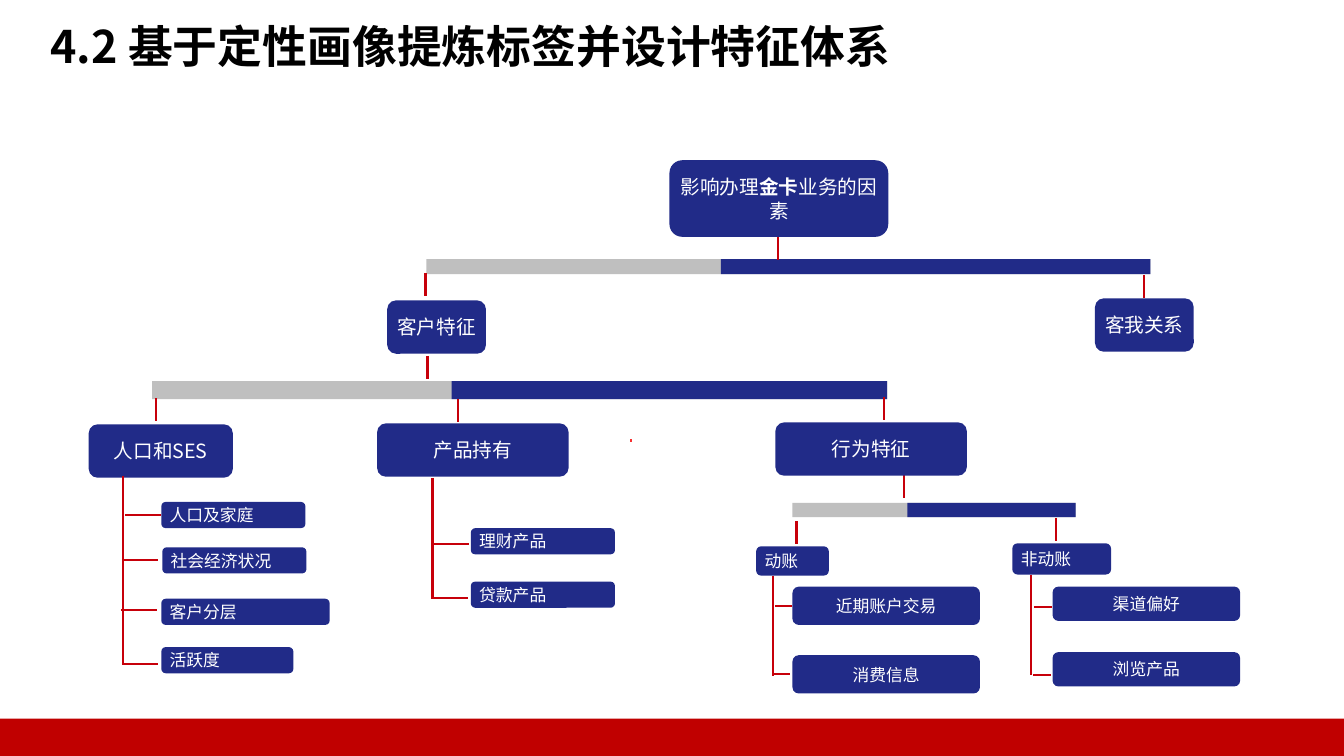
from lxml.etree import SubElement
from pptx import Presentation
from pptx.dml.color import RGBColor
from pptx.enum.shapes import MSO_CONNECTOR, MSO_SHAPE
from pptx.enum.text import MSO_ANCHOR, PP_ALIGN
from pptx.oxml.ns import qn
from pptx.util import Inches, Pt

FONT = "Noto Sans CJK SC"
NAVY, GRAY, RED, BRIGHT_RED, FOOTER_RED = "212B88", "BFBFBF", "C7000A", "F73131", "C00000"
COLUMNS, ROWS = 1333, 750
CELL = Inches(0.01)
DROP = 23

TITLE = "4.2 基于定性画像提炼标签并设计特征体系"
FACTORS = [
    ([("影响办理", False), ("金卡", True), ("业务的因素", False)], (664, 159, 217, 76)),
    ([("客户特征", False)], (384, 298, 98, 53)),
    ([("客我关系", False)], (1086, 296, 98, 53)),
    ([("人口和SES", False)], (88, 421, 143, 53)),
    ([("产品持有", False)], (374, 420, 190, 53)),
    ([("行为特征", False)], (769, 419, 190, 53)),
]
ACCOUNT_GROUPS = [("动账", (750, 542, 72, 29)), ("非动账", (1004, 539, 98, 31))]

# left, top, width, height, column where navy begins
BARS = [(423, 257, 718, 15, 715), (151, 378, 729, 18, 448), (786, 499, 281, 14, 900)]
DROPS = [(772, 235), (422, 271), (1135, 273), (424, 353), (155, 395), (454, 396),
         (877, 394), (897, 471), (790, 517), (1047, 514)]

BRANCHES = [
    {"trunk": (122, 472, 659), "twig": 36, "size": (143, 26), "align": PP_ALIGN.LEFT,
     "leaves": [("人口及家庭", 160, 498, 143, (124, 511)),
                ("社会经济状况", 161, 543, 143, (121, 556)),
                ("客户分层", 160, 594, 167, (120, 605)),
                ("活跃度", 160, 642, 131, (121, 659))]},
    {"trunk": (429, 474, 594), "twig": 36, "size": (143, 26), "align": PP_ALIGN.LEFT,
     "leaves": [("理财产品", 467, 524, 143, (429, 540)),
                ("贷款产品", 467, 577, 143, (428, 593))]},
    {"trunk": (767, 571, 671), "twig": 17, "size": (186, 38), "align": PP_ALIGN.CENTER,
     "leaves": [("近期账户交易", 786, 582, 186, (769, 601)),
                ("消费信息", 786, 650, 186, (767, 669))]},
    {"trunk": (1023, 570, 670), "twig": 17, "size": (186, 34), "align": PP_ALIGN.CENTER,
     "leaves": [("渠道偏好", 1044, 582, 186, (1026, 602)),
                ("浏览产品", 1044, 647, 186, (1025, 670))]},
]


def color(value):
    return RGBColor.from_string(value)


def assign(target, values):
    for name, value in values.items():
        setattr(target, name, value)


def grid(*cells):
    return [int(cell * CELL) for cell in cells]


def add_runs(paragraph, runs, size, hue):
    for text, bold in runs:
        run = paragraph.add_run()
        run.text = text
        assign(run.font, {"name": FONT, "size": Pt(size), "bold": bold})
        run.font.color.rgb = color(hue)
        SubElement(run.font._element, qn("a:ea"), typeface=FONT)


def add_block(box, fill, kind=MSO_SHAPE.RECTANGLE):
    shape = slide.shapes.add_shape(kind, *grid(*box))
    shape.shadow.inherit = False
    shape.fill.solid()
    shape.fill.fore_color.rgb = color(fill)
    shape.line.fill.background()
    return shape


def add_node(runs, box, size, align):
    frame = add_block(box, NAVY, MSO_SHAPE.ROUNDED_RECTANGLE).text_frame
    horizontal, vertical = grid(7, 4)
    assign(frame, {"word_wrap": True, "vertical_anchor": MSO_ANCHOR.MIDDLE,
                   "margin_left": horizontal, "margin_right": horizontal,
                   "margin_top": vertical, "margin_bottom": vertical})
    frame.paragraphs[0].alignment = align
    add_runs(frame.paragraphs[0], runs, size, "FFFFFF")


def add_line(start, end, hue=RED):
    line = slide.shapes.add_connector(MSO_CONNECTOR.STRAIGHT, *grid(*start, *end))
    line.line.color.rgb = color(hue)
    line.line.width = Pt(1.5)
    SubElement(line._element.spPr, qn("a:effectLst"))


presentation = Presentation()
assign(presentation, dict(zip(("slide_width", "slide_height"), grid(COLUMNS, ROWS))))
slide = presentation.slides.add_slide(presentation.slide_layouts[5])

title = slide.shapes.title
assign(title, dict(zip(("left", "top", "width", "height"), grid(50, 25, 987, 54))))
assign(title.text_frame, {"word_wrap": True, "vertical_anchor": MSO_ANCHOR.TOP,
                          "margin_left": 0, "margin_right": 0,
                          "margin_top": 0, "margin_bottom": 0})
heading = title.text_frame.paragraphs[0]
assign(heading, {"alignment": PP_ALIGN.LEFT, "line_spacing": 0.9})
add_runs(heading, [(TITLE, True)], 32, "000000")

add_block((0, 713, COLUMNS, ROWS - 713), FOOTER_RED)
add_line((626, 436), (626, 439), BRIGHT_RED)

for left, top, width, height, split in BARS:
    add_block((left, top, width, height), GRAY)
    add_block((split, top, left + width - split, height), NAVY)

for column, row in DROPS:
    add_line((column, row), (column, row + DROP))

for runs, box in FACTORS:
    add_node(runs, box, 14, PP_ALIGN.CENTER)
for text, box in ACCOUNT_GROUPS:
    add_node([(text, False)], box, 12, PP_ALIGN.LEFT)

for branch in BRANCHES:
    column, top, bottom = branch["trunk"]
    add_line((column, top), (column, bottom))
    for text, left, row, width, (start, level) in branch["leaves"]:
        add_node([(text, False)], (left, row, width, branch["size"][1]), 12, branch["align"])
        add_line((start, level), (start + branch["twig"], level))

presentation.save("out.pptx")
